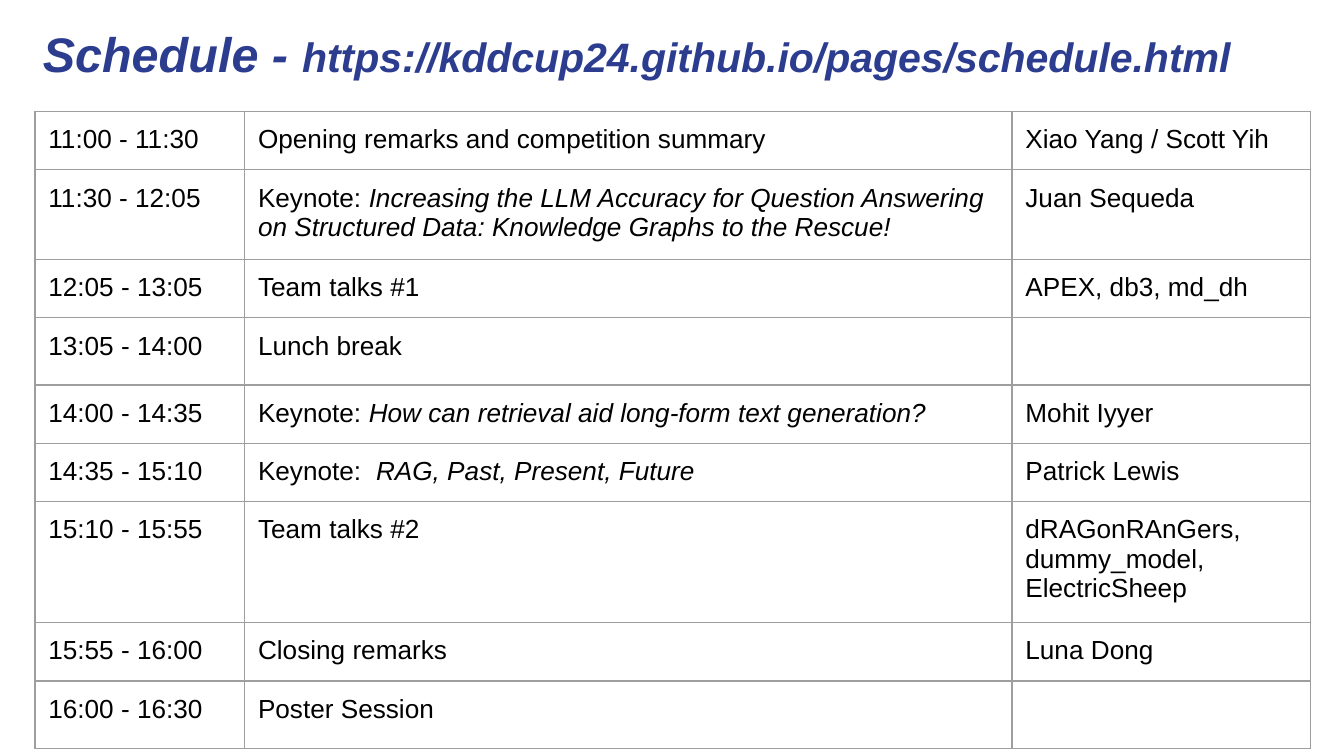
"""Build the schedule slide: a title above a bordered timetable."""
from lxml.etree import SubElement as Sub
from pptx import Presentation
from pptx.dml.color import RGBColor as RGB
from pptx.enum.text import MSO_ANCHOR as Anchor
from pptx.oxml.ns import qn
from pptx.util import Inches, Pt

GRID = "9E9E9E"
PAD = Inches(0.1)


def add_run(para, text, size, color, bold=False, italic=False):
    run = para.add_run()
    run.text = text
    font = run.font
    font.name, font.size = "Arial", Pt(size)
    font.bold, font.italic = bold, italic
    font.color.rgb = RGB.from_string(color)


def set_edges(cell):
    props = cell._tc.get_or_add_tcPr()
    for side in ("lnL", "lnR", "lnT", "lnB"):
        line = Sub(props, qn(f"a:{side}"), w=str(Pt(0.75)))
        fill = Sub(line, qn("a:solidFill"))
        Sub(fill, qn("a:srgbClr"), val=GRID)


deck = Presentation()
deck.slide_width = Inches(10)
deck.slide_height = Inches(10 * 9 / 16)
slide = deck.slides.add_slide(deck.slide_layouts[6])

title = slide.shapes.add_textbox(Inches(0.22), Inches(0.08), Inches(9.32), Inches(0.63))
frame = title.text_frame
frame.word_wrap = True
frame.vertical_anchor = Anchor.MIDDLE
frame.margin_left = frame.margin_right = PAD
frame.margin_top = frame.margin_bottom = PAD
for text, size in (
    ("Schedule - ", 26),
    ("https://kddcup24.github.io/pages/schedule.html", 22),
):
    add_run(frame.paragraphs[0], text, size, "2C3D8F", bold=True, italic=True)

talks = [
    ("11:00 - 11:30", "Opening remarks and competition summary", "", "Xiao Yang / Scott Yih"),
    ("11:30 - 12:05", "Keynote: ",
     "Increasing the LLM Accuracy for Question Answering on Structured Data: "
     "Knowledge Graphs to the Rescue!", "Juan Sequeda"),
    ("12:05 - 13:05", "Team talks #1", "", "APEX, db3, md_dh"),
    ("13:05 - 14:00", "Lunch break", "", ""),
    ("14:00 - 14:35", "Keynote: ", "How can retrieval aid long-form text generation?",
     "Mohit Iyyer"),
    ("14:35 - 15:10", "Keynote:  ", "RAG, Past, Present, Future", "Patrick Lewis"),
    ("15:10 - 15:55", "Team talks #2", "", "dRAGonRAnGers, dummy_model, ElectricSheep"),
    ("15:55 - 16:00", "Closing remarks", "", "Luna Dong"),
    ("16:00 - 16:30", "Poster Session", "", ""),
]
widths = (1.56, 5.71, 2.22)
side = Inches(3.28)

grid = slide.shapes.add_table(
    len(talks), len(widths), Inches(0.26), Inches(0.83), side, side
)
table = grid.table
table.first_row = table.horz_banding = False
for col, width in zip(table.columns, widths):
    col.width = Inches(width)

for row, (time, topic, name, host) in zip(table.rows, talks):
    row.height = Inches(0.42)
    for cell, parts in zip(row.cells, ([time], [topic, name], [host])):
        cell.margin_left = cell.margin_right = PAD
        cell.margin_top = cell.margin_bottom = PAD
        set_edges(cell)
        cell.fill.background()
        for spot, text in enumerate(parts):
            if text:
                add_run(cell.text_frame.paragraphs[0], text, 14, "000000", italic=spot == 1)

grid.width = grid.height = side
deck.save("out.pptx")
